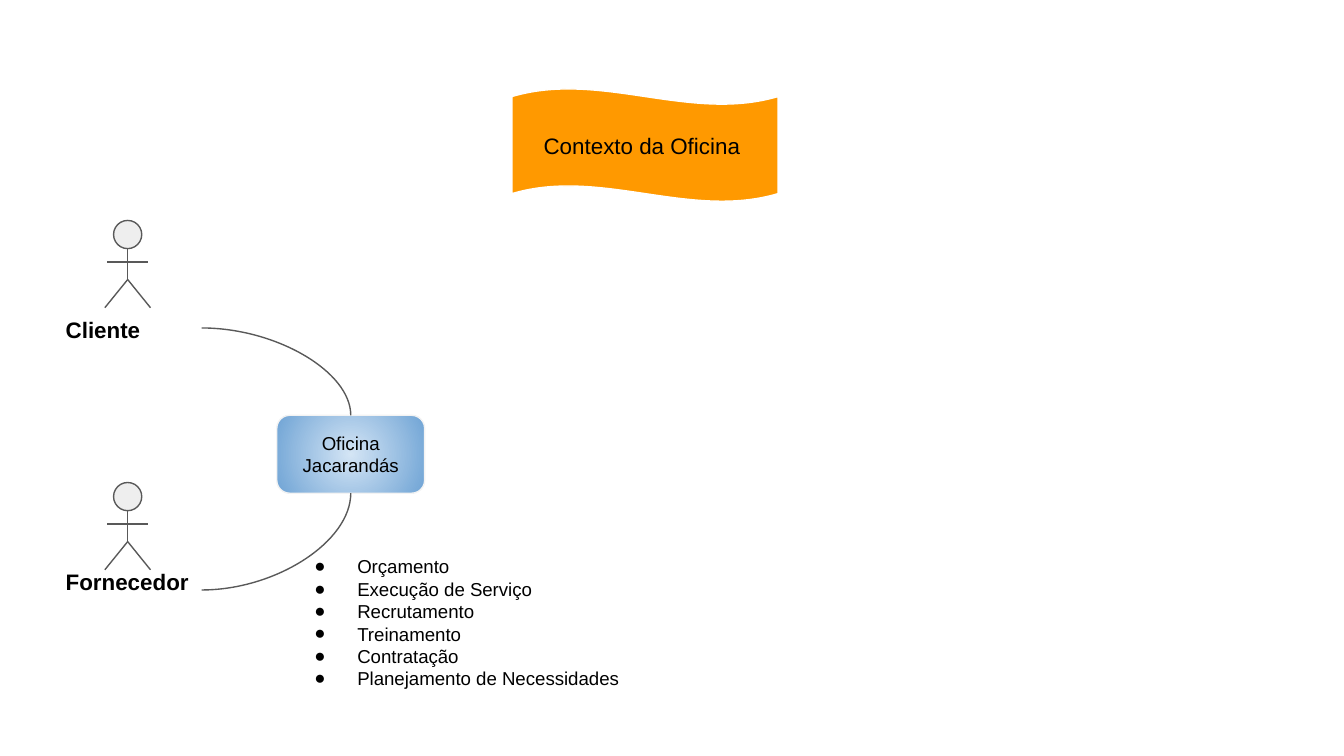
from dataclasses import dataclass

from lxml import etree
from pptx import Presentation
from pptx.dml.color import RGBColor
from pptx.enum.shapes import MSO_CONNECTOR, MSO_SHAPE
from pptx.enum.text import MSO_ANCHOR, PP_ALIGN
from pptx.oxml.ns import qn
from pptx.util import Inches, Pt

STRAIGHT, CURVE = MSO_CONNECTOR.STRAIGHT, MSO_CONNECTOR.CURVE
WAVE, ROUNDED = MSO_SHAPE.WAVE, MSO_SHAPE.ROUNDED_RECTANGLE
HEAD = MSO_SHAPE.FLOWCHART_CONNECTOR
LEFT, CENTER = PP_ALIGN.LEFT, PP_ALIGN.CENTER
TOP, MIDDLE = MSO_ANCHOR.TOP, MSO_ANCHOR.MIDDLE

BLACK = RGBColor(0x00, 0x00, 0x00)
WHITE = RGBColor(0xFF, 0xFF, 0xFF)
ORANGE = RGBColor(0xFF, 0x99, 0x00)
GRAY = RGBColor(0x59, 0x59, 0x59)
LIGHT_GRAY = RGBColor(0xEE, 0xEE, 0xEE)
PALE_GRAY = RGBColor(0xF3, 0xF3, 0xF3)
LIGHT_BLUE = RGBColor(0xD4, 0xE5, 0xF5)
BLUE = RGBColor(0x70, 0xA4, 0xD5)

FONT = "Arial"
LINE_WIDTH = Pt(0.75)
SLIDE_WIDTH = Inches(10)
SLIDE_HEIGHT = SLIDE_WIDTH * 9 // 16


@dataclass(frozen=True)
class Actor:
    name: str
    top: float
    label_top: float
    label_height: float


ACTORS = [
    Actor("Fornecedor", 3.59, 4.13, 0.52),
    Actor("Cliente", 1.64, 2.25, 0.38),
]
SERVICES = [
    "Orçamento",
    "Execução de Serviço",
    "Recrutamento",
    "Treinamento",
    "Contratação",
    "Planejamento de Necessidades",
]
AXIS = 0.95
HEAD_SIZE = 0.21
LIMBS = [
    (0, 0.21, 0, 0.44),
    (-0.15, 0.31, 0.15, 0.31),
    (0, 0.44, -0.17, 0.65),
    (0.17, 0.65, 0, 0.44),
]


def add_bullet(paragraph) -> None:
    props = paragraph._p.get_or_add_pPr()
    props.set("marL", str(Inches(0.5)))
    props.set("indent", str(Inches(-0.32)))
    color = etree.SubElement(props, qn("a:buClr"))
    etree.SubElement(color, qn("a:srgbClr"), val=str(BLACK))
    etree.SubElement(props, qn("a:buFont"), typeface=FONT)
    etree.SubElement(props, qn("a:buChar"), char="●")


def write(shape, lines: list[str], *, size: float, bold: bool = False,
          align=LEFT, anchor=TOP, bullets: bool = False) -> None:
    frame = shape.text_frame
    frame.word_wrap = True
    frame.vertical_anchor = anchor
    frame.margin_left = frame.margin_right = Inches(0.1)
    frame.margin_top = frame.margin_bottom = Inches(0.1)
    for index, line in enumerate(lines):
        paragraph = frame.add_paragraph() if index else frame.paragraphs[0]
        paragraph.alignment = align
        if bullets:
            add_bullet(paragraph)
        run = paragraph.add_run()
        run.text = line
        run.font.name = FONT
        run.font.size = Pt(size)
        run.font.bold = bold
        run.font.color.rgb = BLACK


def add_block(shapes, preset, box: tuple, fill: RGBColor, outline: RGBColor):
    block = shapes.add_shape(preset, *map(Inches, box))
    block.shadow.inherit = False
    block.fill.solid()
    block.fill.fore_color.rgb = fill
    block.line.color.rgb = outline
    block.line.width = LINE_WIDTH
    return block


def add_line(shapes, ends: tuple, kind=STRAIGHT):
    line = shapes.add_connector(kind, *map(Inches, ends))
    line.line.color.rgb = GRAY
    line.line.width = LINE_WIDTH
    etree.SubElement(line._element.spPr, qn("a:effectLst"))
    return line


def add_arc(shapes, ends: tuple) -> None:
    arc = add_line(shapes, ends, CURVE)
    arc._element.spPr.find(qn("a:prstGeom")).set("prst", "curvedConnector2")


def fill_radial(shape, inner: RGBColor, outer: RGBColor) -> None:
    shape.fill.gradient()
    for stop, color in zip(shape.fill.gradient_stops, (inner, outer)):
        stop.color.rgb = color
    gradient = shape._element.spPr.find(qn("a:gradFill"))
    gradient.remove(gradient.find(qn("a:lin")))
    radial = etree.SubElement(gradient, qn("a:path"), path="circle")
    etree.SubElement(radial, qn("a:fillToRect"),
                     {side: "50000" for side in "ltrb"})


def add_actor(shapes, actor: Actor) -> None:
    parts = shapes.add_group_shape().shapes
    head_box = (AXIS - HEAD_SIZE / 2, actor.top, HEAD_SIZE, HEAD_SIZE)
    add_block(parts, HEAD, head_box, LIGHT_GRAY, GRAY)
    for x1, y1, x2, y2 in LIMBS:
        add_line(parts, (AXIS + x1, actor.top + y1, AXIS + x2, actor.top + y2))
    label_box = (0.39, actor.label_top, 1.12, actor.label_height)
    label = parts.add_textbox(*map(Inches, label_box))
    write(label, [actor.name], size=12, bold=True)


def main() -> None:
    deck = Presentation()
    deck.slide_width, deck.slide_height = SLIDE_WIDTH, SLIDE_HEIGHT
    shapes = deck.slides.add_slide(deck.slide_layouts[6]).shapes

    title = add_block(shapes, WAVE, (3.81, 0.66, 1.98, 0.84), ORANGE, WHITE)
    title.adjustments[0] = 0.07
    write(title, ["Contexto da Oficina "], size=12, align=CENTER, anchor=MIDDLE)

    workshop = add_block(shapes, ROUNDED, (2.06, 3.09, 1.1, 0.58), BLUE, PALE_GRAY)
    fill_radial(workshop, LIGHT_BLUE, BLUE)
    write(workshop, ["Oficina Jacarandás"], size=10, align=CENTER, anchor=MIDDLE)

    for actor in ACTORS:
        add_actor(shapes, actor)

    add_arc(shapes, (1.5, 2.44, 2.61, 3.09))
    add_arc(shapes, (1.5, 4.39, 2.61, 3.67))

    services = shapes.add_textbox(*map(Inches, (2.06, 4.03, 3.32, 0.91)))
    write(services, SERVICES, size=10, bullets=True)

    deck.save("out.pptx")


main()
